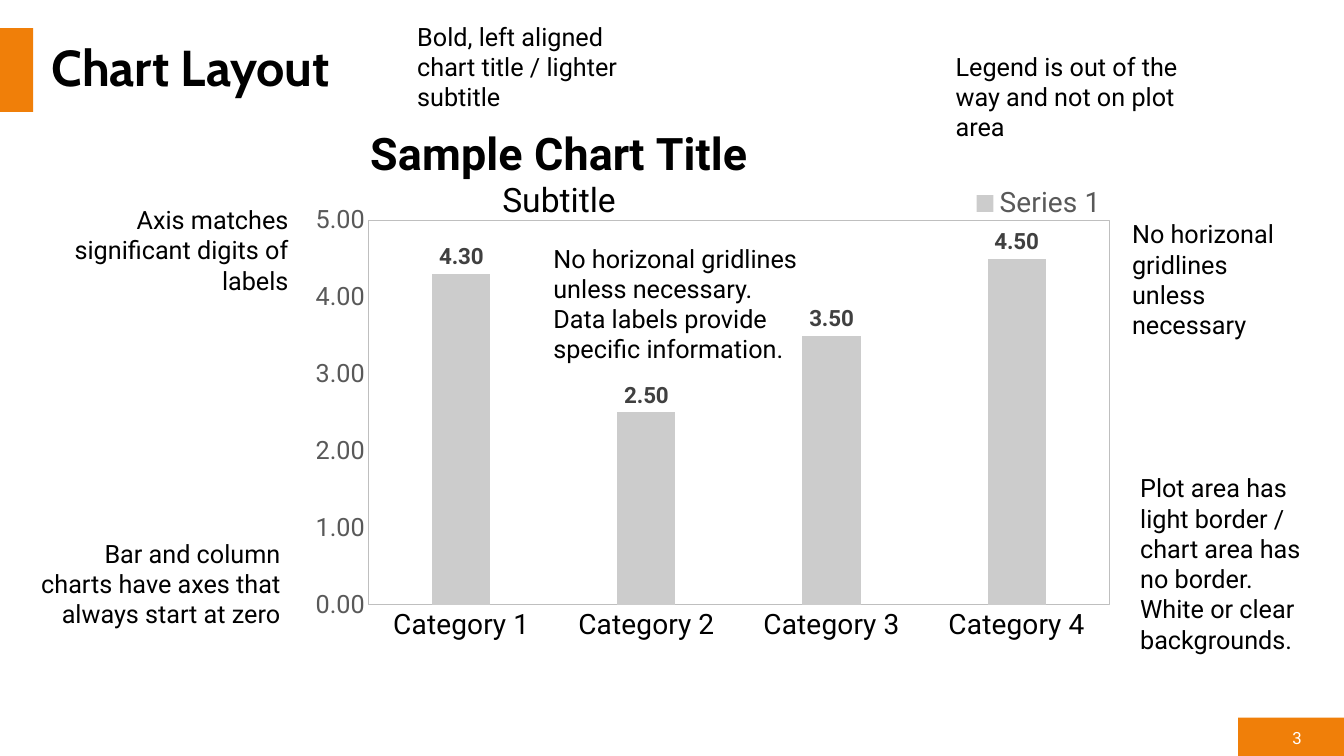
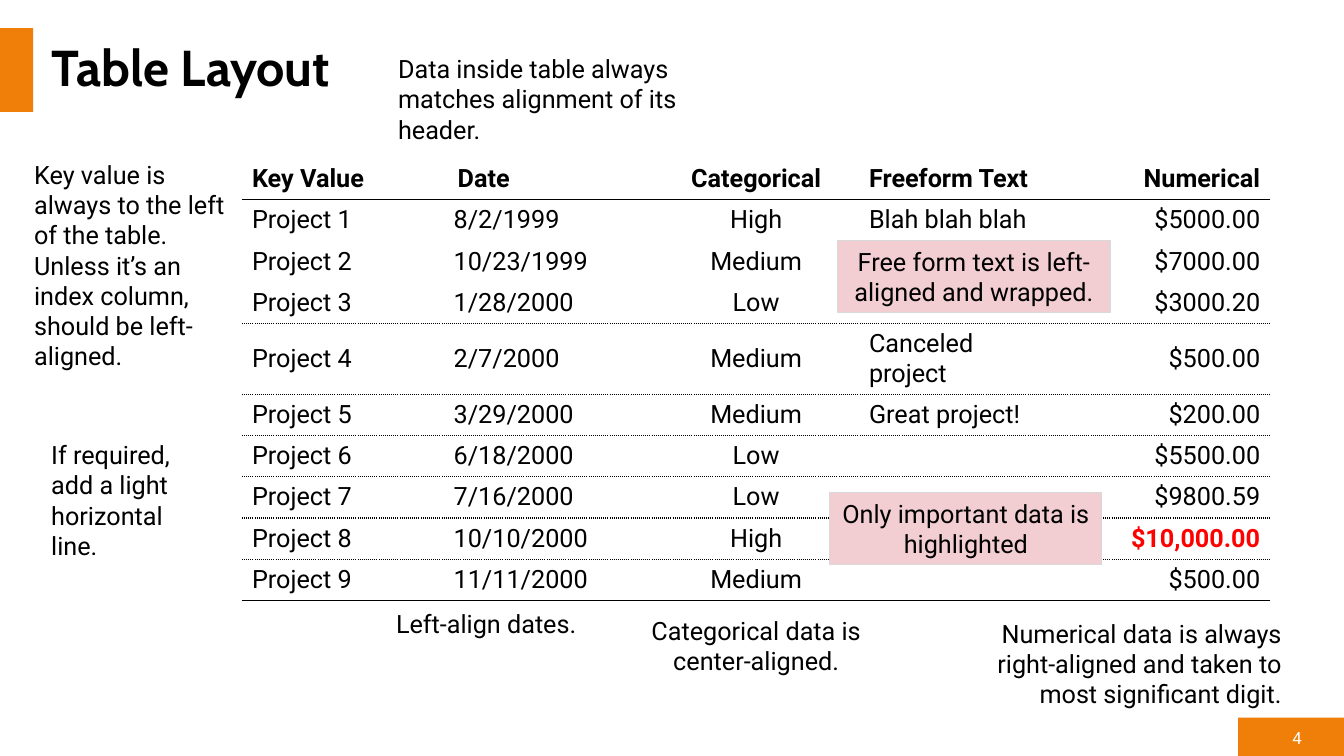
from dataclasses import dataclass
from typing import Any, Optional

from lxml.etree import SubElement
from pptx import Presentation
from pptx.chart.data import CategoryChartData
from pptx.dml.color import RGBColor
from pptx.enum.chart import XL_CHART_TYPE, XL_LABEL_POSITION, XL_LEGEND_POSITION, XL_TICK_MARK
from pptx.enum.shapes import MSO_SHAPE
from pptx.enum.text import MSO_ANCHOR, MSO_AUTO_SIZE, PP_ALIGN
from pptx.oxml import parse_xml
from pptx.oxml.ns import nsdecls, qn
from pptx.util import Inches, Pt

ORANGE, BLACK, WHITE, RED = "F07F09", "000000", "FFFFFF", "FF0000"
PINK, EDGE, FRAME, BAR = "F2CED2", "D9D9D9", "BFBFBF", "CCCCCC"
GREY, DARK = "595959", "404040"
HEAD, BODY = "Cabin", "Roboto"
LEFT, MID, RIGHT = PP_ALIGN.LEFT, PP_ALIGN.CENTER, PP_ALIGN.RIGHT
DIGITS = "#,##0.00"
PLAIN = "{2D5ABB26-0587-4C30-8999-92F81FD0307C}"


@dataclass
class Note:
    text: str
    x: float
    y: float
    w: float
    h: float
    align: Any = LEFT
    fill: Optional[str] = None


@dataclass
class Band:
    x: float
    y: float
    w: float
    h: float


BANDS = [Band(12.28, 7.12, 1.05, 0.38), Band(0, 0.28, 0.33, 0.83)]

CHART_NOTES = [
    Note("Bold, left aligned chart title / lighter subtitle", 4.04, 0.16, 2.63, 1.01),
    Note("Axis matches significant digits of labels", 0.33, 1.98, 2.63, 1.01, RIGHT),
    Note("Legend is out of the way and not on plot area", 9.38, 0.46, 2.63, 1.01),
    Note("Bar and column charts have axes that always start at zero",
         0.25, 5.29, 2.63, 1.01, RIGHT),
    Note("No horizonal gridlines unless necessary. Data labels provide specific information.",
         5.39, 2.36, 2.63, 1.31),
    Note("No horizonal gridlines unless necessary", 11.13, 2.12, 1.87, 1.31),
    Note("Plot area has light border / chart area has no border. White or clear backgrounds.",
         11.21, 4.64, 1.87, 1.92),
]

TABLE_NOTES = [
    Note("If required, add a light horizontal line.", 0.41, 4.31, 1.73, 1.31),
    Note("Key value is always to the left of the table. Unless it’s an index column, "
         "should be left-aligned.", 0.24, 1.53, 2.16, 2.22),
    Note("Left-align dates.", 3.83, 5.99, 2.7, 0.4),
    Note("Categorical data is center-aligned.", 6.15, 6.05, 2.7, 0.71, MID),
    Note("Free form text is left-aligned and wrapped.", 8.31, 2.39, 2.7, 0.71, MID, PINK),
    Note("Numerical data is always right-aligned and taken to most significant digit.",
         9.56, 6.08, 3.25, 1.01, RIGHT),
    Note("Data inside table always matches alignment of its header.", 3.85, 0.48, 3.53, 1.01),
    Note("Only important data is highlighted", 8.23, 4.89, 2.7, 0.71, MID, PINK),
]

ROWS = [
    ("Key Value", "Date", "Categorical", "Freeform Text", "Numerical"),
    ("Project 1", "8/2/1999", "High", "Blah blah blah", "$5000.00"),
    ("Project 2", "10/23/1999", "Medium", "", "$7000.00"),
    ("Project 3", "1/28/2000", "Low", "", "$3000.20"),
    ("Project 4", "2/7/2000", "Medium", "Canceled project", "$500.00"),
    ("Project 5", "3/29/2000", "Medium", "Great project!", "$200.00"),
    ("Project 6", "6/18/2000", "Low", "", "$5500.00"),
    ("Project 7", "7/16/2000", "Low", "", "$9800.59"),
    ("Project 8", "10/10/2000", "High", "", "$10,000.00"),
    ("Project 9", "11/11/2000", "Medium", "", "$500.00"),
]
ALIGNS = [LEFT, LEFT, MID, LEFT, RIGHT]
RULES = ["solid", None, None] + ["sysDot"] * 6 + ["solid"]


def tint(code: str) -> RGBColor:
    return RGBColor.from_string(code)


def put(item: Any, vals: dict) -> None:
    for key, val in vals.items():
        setattr(item, key, val)


def style(font: Any, size: float, color: str = BLACK, bold: bool = False,
          name: str = BODY) -> None:
    put(font, {"size": Pt(size), "bold": bold, "name": name})
    font.color.rgb = tint(color)


def paint(shape: Any, fill: str, edge: Optional[str] = None) -> None:
    shape.shadow.inherit = False
    shape.fill.solid()
    shape.fill.fore_color.rgb = tint(fill)
    if edge:
        shape.line.color.rgb = tint(edge)
        shape.line.width = Pt(0.75)
    else:
        shape.line.fill.background()


def spot(item: Any) -> list:
    return [Inches(val) for val in (item.x, item.y, item.w, item.h)]


def write(frame: Any, text: str, align: Any, size: float = 18, color: str = BLACK,
          bold: bool = False, name: str = BODY) -> None:
    line = frame.paragraphs[0]
    line.alignment = align
    run = line.add_run()
    run.text = text
    style(run.font, size, color, bold, name)


def draw_note(slide: Any, note: Note) -> None:
    if note.fill:
        shape = slide.shapes.add_shape(MSO_SHAPE.RECTANGLE, *spot(note))
        paint(shape, note.fill, EDGE)
    else:
        shape = slide.shapes.add_textbox(*spot(note))
    put(shape.text_frame, {"word_wrap": True, "vertical_anchor": MSO_ANCHOR.TOP,
                           "auto_size": MSO_AUTO_SIZE.SHAPE_TO_FIT_TEXT})
    write(shape.text_frame, note.text, note.align)


def start(deck: Any, text: str, page: int) -> Any:
    slide = deck.slides.add_slide(deck.slide_layouts[5])
    for band in BANDS:
        paint(slide.shapes.add_shape(MSO_SHAPE.RECTANGLE, *spot(band)), ORANGE)
    title = slide.shapes.title
    put(title, {"left": Inches(0.41), "top": Inches(0.28),
                "width": Inches(12.6), "height": Inches(0.83)})
    title.text_frame.vertical_anchor = MSO_ANCHOR.MIDDLE
    write(title.text_frame, text, LEFT, 36, bold=True, name=HEAD)
    title.text_frame.paragraphs[0].line_spacing = 0.9
    count = slide.shapes.add_textbox(*spot(Band(12.6, 7.2, 0.41, 0.23)))
    put(count.text_frame, {"word_wrap": True, "vertical_anchor": MSO_ANCHOR.MIDDLE})
    write(count.text_frame, str(page), RIGHT, 12, WHITE)
    return slide


def place(host: Any, index: int, vals: dict) -> None:
    for old in host.findall(qn("c:layout")):
        host.remove(old)
    tags = "".join(f'<c:{key} val="{val}"/>' for key, val in vals.items())
    host.insert(index, parse_xml(
        f'<c:layout {nsdecls("c")}><c:manualLayout>{tags}</c:manualLayout></c:layout>'))


def draw_chart(slide: Any) -> None:
    data = CategoryChartData(number_format=DIGITS)
    data.categories = [f"Category {num}" for num in range(1, 5)]
    data.add_series("Series 1", (4.3, 2.5, 3.5, 4.5))
    chart = slide.shapes.add_chart(XL_CHART_TYPE.COLUMN_CLUSTERED,
                                   *spot(Band(2.98, 1.11, 8.27, 5.72)), data).chart
    style(chart.font, 10)

    frame = chart.chart_title.text_frame
    write(frame, "Sample Chart Title", LEFT, 32, bold=True)
    run = frame.add_paragraph().add_run()
    run.text = "Subtitle"
    style(run.font, 24)

    chart.has_legend = True
    put(chart.legend, {"position": XL_LEGEND_POSITION.BOTTOM, "include_in_layout": False})
    style(chart.legend.font, 20, GREY)

    base, scale = chart.category_axis, chart.value_axis
    for axis, size, color in ((base, 20, BLACK), (scale, 18, GREY)):
        put(axis, {"has_major_gridlines": False, "major_tick_mark": XL_TICK_MARK.NONE,
                   "minor_tick_mark": XL_TICK_MARK.NONE})
        style(axis.tick_labels.font, size, color)
    base.format.line.color.rgb = tint(FRAME)
    base.format.line.width = Pt(0.75)
    scale.format.line.fill.background()
    put(scale, {"minimum_scale": 0, "maximum_scale": 5, "major_unit": 1})
    put(scale.tick_labels, {"number_format": DIGITS, "number_format_is_linked": False})

    plot = chart.plots[0]
    put(plot, {"gap_width": 219, "vary_by_categories": False, "has_data_labels": True})
    put(plot.data_labels, {"show_value": True, "number_format": DIGITS,
                           "number_format_is_linked": False,
                           "position": XL_LABEL_POSITION.OUTSIDE_END})
    style(plot.data_labels.font, 16, DARK, True)
    bars = plot.series[0].format
    bars.fill.solid()
    bars.fill.fore_color.rgb = tint(BAR)

    root = chart.element if hasattr(chart, "element") else chart._chartSpace
    area = root.find(".//" + qn("c:plotArea"))
    edge = {"xMode": "edge", "yMode": "edge"}
    place(area, 0, {"layoutTarget": "inner", **edge,
                    "x": 0.082, "y": 0.188, "w": 0.888, "h": 0.667})
    place(root.find(".//" + qn("c:title")), 1, {**edge, "x": 0.08, "y": 0.02})
    place(root.find(".//" + qn("c:legend")), 1, {**edge, "x": 0.8, "y": 0.12})
    area.append(parse_xml(
        f'<c:spPr {nsdecls("c", "a")}><a:noFill/><a:ln w="{Pt(0.75)}"><a:solidFill>'
        f'<a:srgbClr val="{FRAME}"/></a:solidFill></a:ln></c:spPr>'))


def rule(cell: Any, side: str, dash: Optional[str]) -> None:
    line = SubElement(cell._tc.get_or_add_tcPr(), qn(f"a:{side}"), w=str(Pt(1)))
    if dash:
        fill = SubElement(line, qn("a:solidFill"))
        SubElement(fill, qn("a:srgbClr"), val=BLACK)
        SubElement(line, qn("a:prstDash"), val=dash)
    else:
        SubElement(line, qn("a:noFill"))


def draw_table(slide: Any) -> None:
    table = slide.shapes.add_table(len(ROWS), len(ALIGNS),
                                   *spot(Band(2.4, 1.57, 10.2, 4.38))).table
    put(table, {"first_row": False, "horz_banding": False})
    table._tbl.tblPr.find(qn("a:tableStyleId")).text = PLAIN
    for col in table.columns:
        col.width = Inches(2.04)
    for r, row in enumerate(ROWS):
        table.rows[r].height = Inches(0.69 if "Canceled project" in row else 0.41)
        for c, text in enumerate(row):
            cell = table.cell(r, c)
            rule(cell, "lnT", RULES[r - 1] if r else None)
            rule(cell, "lnB", RULES[r])
            cell.fill.background()
            cell.vertical_anchor = MSO_ANCHOR.MIDDLE
            if r and c == 1:
                put(cell, {"margin_left": Inches(0.06), "margin_right": 0,
                           "margin_top": 0, "margin_bottom": 0})
            if text:
                key = text == "$10,000.00"
                write(cell.text_frame, text, ALIGNS[c], color=RED if key else BLACK,
                      bold=key or r == 0)


def main() -> None:
    deck = Presentation()
    put(deck, {"slide_width": Inches(13.33), "slide_height": Inches(7.5)})
    pages = [("Chart Layout", draw_chart, CHART_NOTES),
             ("Table Layout", draw_table, TABLE_NOTES)]
    for page, (title, draw, notes) in enumerate(pages, 3):
        slide = start(deck, title, page)
        draw(slide)
        for note in notes:
            draw_note(slide, note)
    deck.save("out.pptx")


main()
